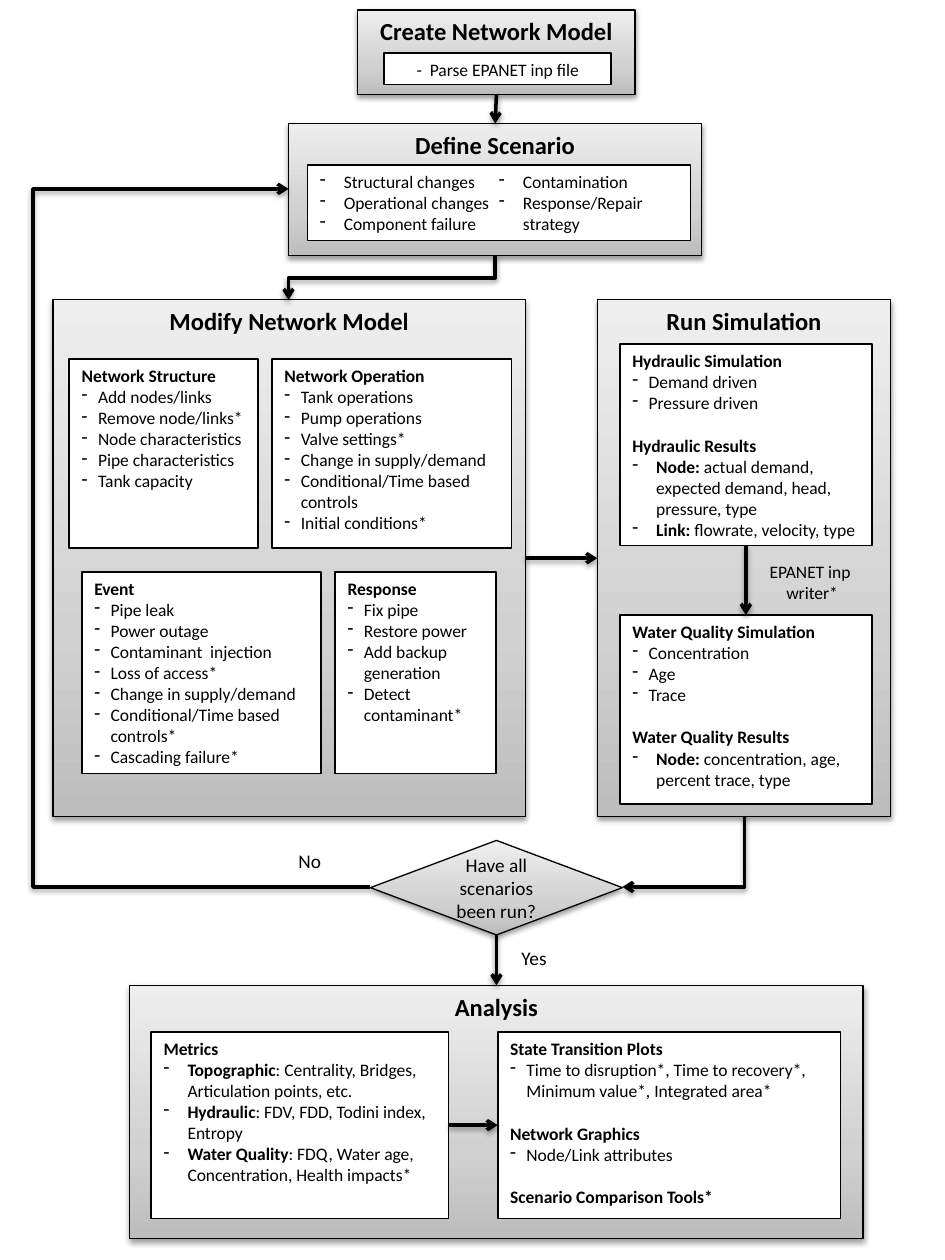
from copy import deepcopy

from lxml import etree
from pptx import Presentation
from pptx.dml.color import RGBColor
from pptx.enum.shapes import MSO_CONNECTOR, MSO_SHAPE
from pptx.enum.text import MSO_ANCHOR, PP_ALIGN
from pptx.oxml.ns import qn
from pptx.util import Inches, Pt

RECTANGLE, DECISION = MSO_SHAPE.RECTANGLE, MSO_SHAPE.FLOWCHART_DECISION
STRAIGHT, ELBOW = MSO_CONNECTOR.STRAIGHT, MSO_CONNECTOR.ELBOW
LEFT, CENTER = PP_ALIGN.LEFT, PP_ALIGN.CENTER
TOP, MIDDLE = MSO_ANCHOR.TOP, MSO_ANCHOR.MIDDLE
SIDE_TOP, SIDE_LEFT, SIDE_BOTTOM, SIDE_RIGHT = range(4)

FONT = "Calibri"
BLACK, WHITE = "000000", "FFFFFF"
GRADIENT = [(0, "BDBDBD"), (0.35, "D1D1D1"), (1, "EEEEEE")]
NARROW, WIDE = 0.13, 0.19  # bullet indents in inches


def color(value):
    return RGBColor.from_string(value)


def add_run(para, text, size, bold=False):
    span = para.add_run()
    span.text = text
    span.font.name = FONT
    span.font.size = Pt(size)
    span.font.bold = bold
    span.font.color.rgb = color(BLACK)


def add_shadow(properties):
    effects = properties.find(qn("a:effectLst"))
    if effects is None:
        effects = etree.SubElement(properties, qn("a:effectLst"))
    shadow = etree.SubElement(effects, qn("a:outerShdw"), blurRad=str(Pt(3.1)),
                              dist=str(Pt(1.6)), dir="5400000", rotWithShape="0")
    shade = etree.SubElement(shadow, qn("a:srgbClr"), val=BLACK)
    etree.SubElement(shade, qn("a:alpha"), val="38000")


def add_outline(slide, kind, place, line_width):
    box = slide.shapes.add_shape(kind, *map(Inches, place))
    box.shadow.inherit = False
    box.line.color.rgb = color(BLACK)
    box.line.width = Pt(line_width)
    box.text_frame.word_wrap = True
    box.text_frame.vertical_anchor = TOP
    return box


def add_stage(slide, place, title, kind=RECTANGLE, size=14, bold=True, anchor=TOP):
    """Grey shaded step with a centred caption."""
    box = add_outline(slide, kind, place, 0.75)
    box.fill.gradient()
    box.fill.gradient_angle = 90
    stop_list = box._element.spPr.find(".//" + qn("a:gsLst"))
    stop_list.append(deepcopy(stop_list[-1]))
    for stop, (position, shade) in zip(box.fill.gradient_stops, GRADIENT):
        stop.position = position
        stop.color.rgb = color(shade)
    add_shadow(box._element.spPr)
    box.text_frame.vertical_anchor = anchor
    para = box.text_frame.paragraphs[0]
    para.alignment = CENTER
    add_run(para, title, size, bold)
    return box


def heading(text):
    return 0, text, ""


def items(*texts, indent=NARROW):
    return [(indent, "", text) for text in texts]


def term(name, text):
    return WIDE, name, text


def add_panel(slide, place, lines, alignment=LEFT, columns=1):
    """White box; each line is (indent, bold part, plain part)."""
    box = add_outline(slide, RECTANGLE, place, 1)
    box.fill.solid()
    box.fill.fore_color.rgb = color(WHITE)
    frame = box.text_frame
    if columns > 1:
        frame._txBody.bodyPr.set("numCol", str(columns))
    for index, (indent, strong, plain) in enumerate(lines):
        para = frame.add_paragraph() if index else frame.paragraphs[0]
        para.alignment = alignment
        if indent:
            layout = para._p.get_or_add_pPr()
            layout.set("marL", str(Inches(indent)))
            layout.set("indent", str(-Inches(indent)))
            etree.SubElement(layout, qn("a:buChar"), char="-")
        elif index:
            para.space_before = Pt(12.2)
        for text, bold in ((strong, True), (plain, False)):
            if text:
                add_run(para, text, 10, bold)
    return box


def add_label(slide, place, lines, size=11, alignment=LEFT):
    frame = slide.shapes.add_textbox(*map(Inches, place)).text_frame
    frame.word_wrap = False
    for index, text in enumerate(lines):
        para = frame.add_paragraph() if index else frame.paragraphs[0]
        para.alignment = alignment
        add_run(para, text, size)


def style_arrow(arrow):
    arrow.line.color.rgb = color(BLACK)
    arrow.line.width = Pt(2)
    etree.SubElement(arrow.line._get_or_add_ln(), qn("a:tailEnd"), type="arrow")
    add_shadow(arrow._element.spPr)


def join(slide, source, source_side, target, target_side):
    arrow = slide.shapes.add_connector(STRAIGHT, 0, 0, 0, 0)
    arrow.begin_connect(source, source_side)
    arrow.end_connect(target, target_side)
    style_arrow(arrow)


def add_elbow(slide, start, end, bend=None):
    """Elbow that leaves sideways and turns at the given share of its width."""
    arrow = slide.shapes.add_connector(ELBOW, *map(Inches, start + end))
    if bend is not None:
        guides = arrow._element.spPr.prstGeom.get_or_add_avLst()
        etree.SubElement(guides, qn("a:gd"), name="adj1", fmla=f"val {round(bend * 100000)}")
    style_arrow(arrow)


def add_down_elbow(slide, start, end, preset="bentConnector3"):
    """Elbow that leaves downwards and runs to the left: a quarter turn."""
    (x1, y1), (x2, y2) = start, end
    run, drop = x1 - x2, y2 - y1
    left, top = (x1 + x2 - drop) / 2, (y1 + y2 - run) / 2
    arrow = slide.shapes.add_connector(
        ELBOW, *map(Inches, (left, top, left + drop, top + run)))
    arrow._element.spPr.prstGeom.set("prst", preset)
    arrow._element.spPr.xfrm.set("rot", "5400000")
    style_arrow(arrow)


def main():
    deck = Presentation()
    deck.slide_width, deck.slide_height = Inches(7.5), Inches(10)
    slide = deck.slides.add_slide(deck.slide_layouts[6])

    # Stages
    create = add_stage(slide, (2.84, 0.08, 2.2, 0.67), "Create Network Model")
    define = add_stage(slide, (2.29, 0.98, 3.28, 1.05), "Define Scenario")
    modify = add_stage(slide, (0.42, 2.38, 3.75, 4.1), "Modify Network Model")
    simulate = add_stage(slide, (4.74, 2.38, 2.33, 4.1), "Run Simulation")
    decision = add_stage(slide, (2.94, 6.67, 2, 0.75), "Have all scenarios been run?",
                         DECISION, 11, False, MIDDLE)
    analysis = add_stage(slide, (1.03, 7.82, 5.82, 2.01), "Analysis")

    # Model and scenario
    add_panel(slide, (3.05, 0.42, 1.8, 0.25),
              items("-  Parse EPANET inp file", indent=0), CENTER)
    add_panel(slide, (2.44, 1.31, 3.04, 0.6), items(
        "Structural changes", "Operational changes", "Component failure",
        "Contamination", "Response/Repair strategy", indent=WIDE), columns=2)

    # Network changes
    add_panel(slide, (0.55, 2.85, 1.5, 1.5), [heading("Network Structure"), *items(
        "Add nodes/links", "Remove node/links*", "Node characteristics",
        "Pipe characteristics", "Tank capacity")])
    add_panel(slide, (2.16, 2.85, 1.9, 1.5), [heading("Network Operation"), *items(
        "Tank operations", "Pump operations", "Valve settings*", "Change in supply/demand",
        "Conditional/Time based controls", "Initial conditions*")])
    add_panel(slide, (0.65, 4.54, 1.9, 1.6), [heading("Event"), *items(
        "Pipe leak", "Power outage", "Contaminant  injection", "Loss of access*",
        "Change in supply/demand", "Conditional/Time based controls*", "Cascading failure*")])
    add_panel(slide, (2.66, 4.54, 1.28, 1.6), [heading("Response"), *items(
        "Fix pipe", "Restore power", "Add backup generation", "Detect contaminant*")])

    # Simulations
    hydraulic = add_panel(slide, (4.92, 2.73, 2, 1.6), [
        heading("Hydraulic Simulation"), *items("Demand driven", "Pressure driven"),
        heading("Hydraulic Results"),
        term("Node: ", "actual demand, expected demand, head, pressure, type"),
        term("Link: ", "flowrate, velocity, type")])
    quality = add_panel(slide, (4.92, 4.88, 2, 1.5), [
        heading("Water Quality Simulation"), *items("Concentration", "Age", "Trace"),
        heading("Water Quality Results"),
        term("Node: ", "concentration, age, percent trace, type")])

    # Analysis content
    metrics = add_panel(slide, (1.2, 8.19, 2.36, 1.48), [
        heading("Metrics"),
        term("Topographic", ": Centrality, Bridges, Articulation points, etc."),
        term("Hydraulic", ": FDV, FDD, Todini index, Entropy"),
        term("Water Quality", ": FDQ, Water age, Concentration, Health impacts*")])
    plots = add_panel(slide, (3.95, 8.19, 2.72, 1.48), [
        heading("State Transition Plots"),
        *items("Time to disruption*, Time to recovery*, Minimum value*, Integrated area*"),
        heading("Network Graphics"), *items("Node/Link attributes"),
        heading("Scenario Comparison Tools*")])

    # Arrows
    join(slide, create, SIDE_BOTTOM, define, SIDE_TOP)
    join(slide, modify, SIDE_RIGHT, simulate, SIDE_LEFT)
    join(slide, hydraulic, SIDE_BOTTOM, quality, SIDE_TOP)
    join(slide, decision, SIDE_BOTTOM, analysis, SIDE_TOP)
    join(slide, metrics, SIDE_RIGHT, plots, SIDE_LEFT)
    add_elbow(slide, (2.94, 7.04), (2.29, 1.5), bend=4.12)
    add_down_elbow(slide, (3.93, 2.03), (2.29, 2.38))
    add_down_elbow(slide, (5.91, 6.48), (4.94, 7.04), "bentConnector2")

    # Arrow labels
    add_label(slide, (2.27, 6.69, 0.38, 0.29), ["No"])
    add_label(slide, (4.04, 7.46, 0.41, 0.29), ["Yes"])
    add_label(slide, (6, 4.4, 0.89, 0.44), ["EPANET inp ", "writer*"], 10, CENTER)

    deck.save("out.pptx")


if __name__ == "__main__":
    main()
